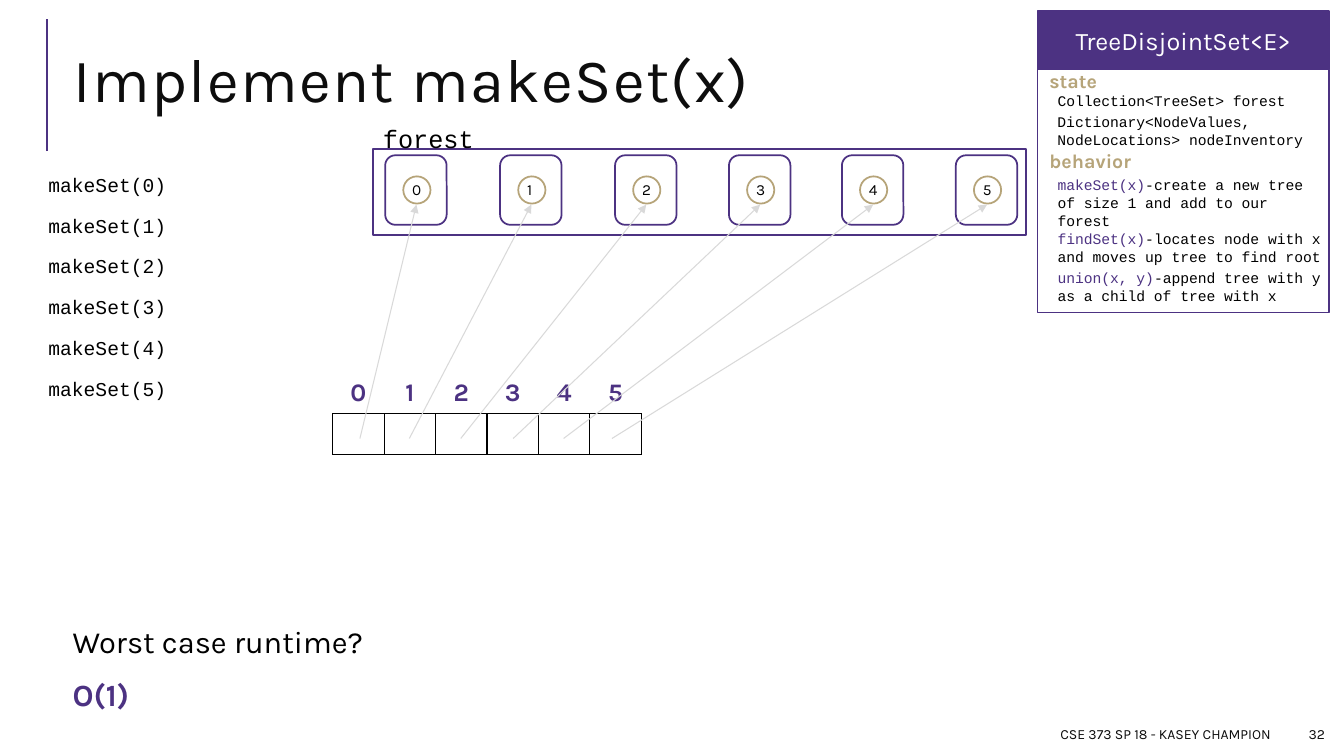
"""Build the slide on makeSet for a disjoint set made of trees."""
from dataclasses import dataclass

from lxml.etree import SubElement
from pptx import Presentation
from pptx.dml.color import RGBColor
from pptx.enum.shapes import MSO_CONNECTOR, MSO_SHAPE
from pptx.enum.text import MSO_ANCHOR, MSO_AUTO_SIZE, PP_ALIGN
from pptx.oxml.ns import qn
from pptx.util import Pt

PX = 9144
PURPLE, GOLD, GREY = "4C3282", "B6A479", "D9D9D9"
BLACK, INK, WHITE, BLUE = "000000", "0D0D0D", "FFFFFF", "1CADE4"
SANS, MONO = "Karla", "Courier New"


@dataclass(frozen=True)
class Box:
    left: int
    top: int
    width: int
    height: int

    def emu(self) -> tuple[int, ...]:
        return tuple(n * PX for n in (self.left, self.top, self.width, self.height))


@dataclass(frozen=True)
class Style:
    size: float
    font: str = SANS
    color: str = BLACK
    bold: bool = False


@dataclass(frozen=True)
class Label:
    box: Box
    wording: tuple[str, ...]
    styles: tuple[Style, ...]
    align: PP_ALIGN = PP_ALIGN.LEFT
    anchor: MSO_ANCHOR = MSO_ANCHOR.TOP
    wrap: bool = True
    grow: bool = True


@dataclass(frozen=True)
class Tree:
    value: int
    left: int
    pointer: int


HEADING = Style(14, color=GOLD, bold=True)
CODE = Style(10.5, MONO)
METHOD = Style(10.5, MONO, PURPLE)
FOOTER = Style(10, color=INK)
NODE = Style(11)
INDEX = Style(18, color=PURPLE, bold=True)

CLASS_LABELS = (
    Label(Box(1039, 170, 279, 63),
          ("makeSet(x)", "-create a new tree of size 1 and add to our forest"), (METHOD, CODE)),
    Label(Box(1031, 63, 223, 34), ("state",), (HEADING,)),
    Label(Box(1031, 143, 223, 34), ("behavior",), (HEADING,)),
    Label(Box(1039, 86, 258, 28), ("Collection<TreeSet> forest",), (CODE,)),
    Label(Box(1039, 223, 305, 47),
          ("findSet(x)", "-locates node with x and moves up tree to find root"), (METHOD, CODE)),
    Label(Box(1039, 262, 295, 47),
          ("union(x, y)", "-append tree with y as a child of tree with x"), (METHOD, CODE)),
    Label(Box(1039, 107, 266, 45),
          ("Dictionary<NodeValues, NodeLocations> nodeInventory",), (CODE,)),
)
FOOTER_LABELS = tuple(
    Label(box, (words,), (FOOTER,), PP_ALIGN.RIGHT, MSO_ANCHOR.MIDDLE, grow=False)
    for box, words in ((Box(625, 713, 645, 30), "CSE 373 SP 18 - KASEY CHAMPION"),
                       (Box(1278, 713, 46, 30), "32"))
)
FOREST_LABEL = Label(Box(370, 117, 111, 40), ("forest",), (Style(18, MONO),), wrap=False)
TREES = (Tree(0, 382, 357), Tree(1, 496, 406), Tree(2, 610, 457),
         Tree(3, 723, 509), Tree(4, 835, 559), Tree(5, 948, 607))


def rgb(color: str) -> RGBColor:
    return RGBColor.from_string(color)


def format_font(font, style: Style) -> None:
    font.name, font.size, font.bold = style.font, Pt(style.size), style.bold
    font.color.rgb = rgb(style.color)


def place(shape, box: Box) -> None:
    shape.left, shape.top, shape.width, shape.height = box.emu()


def add_label(slide, label: Label) -> None:
    frame = slide.shapes.add_textbox(*label.box.emu()).text_frame
    frame.word_wrap = label.wrap
    frame.auto_size = MSO_AUTO_SIZE.SHAPE_TO_FIT_TEXT if label.grow else MSO_AUTO_SIZE.NONE
    frame.vertical_anchor = label.anchor
    paragraph = frame.paragraphs[0]
    paragraph.alignment = label.align
    for words, style in zip(label.wording, label.styles):
        run = paragraph.add_run()
        run.text = words
        format_font(run.font, style)


def add_outline(slide, preset: MSO_SHAPE, box: Box, line: str, fill: str | None = None):
    shape = slide.shapes.add_shape(preset, *box.emu())
    shape.shadow.inherit = False
    if fill:
        shape.fill.solid()
        shape.fill.fore_color.rgb = rgb(fill)
    else:
        shape.fill.background()
    shape.line.color.rgb = rgb(line)
    shape.line.width = Pt(1.25)
    return shape


def add_line(slide, start: tuple[int, int], end: tuple[int, int],
             color: str, width: float, arrow: bool = False) -> None:
    ends = [n * PX for n in (*start, *end)]
    line = slide.shapes.add_connector(MSO_CONNECTOR.STRAIGHT, *ends)
    line.line.color.rgb = rgb(color)
    line.line.width = Pt(width)
    properties = line._element.spPr
    if arrow:
        SubElement(properties.find(qn("a:ln")), qn("a:tailEnd"), type="triangle")
    SubElement(properties, qn("a:effectLst"))


def fill_list(placeholder, box: Box, lines: list[str], styles: list[Style]) -> None:
    place(placeholder, box)
    frame = placeholder.text_frame
    frame.text = "\n".join(lines)
    frame.auto_size = MSO_AUTO_SIZE.NONE
    frame.vertical_anchor = MSO_ANCHOR.TOP
    frame.margin_left = frame.margin_right = frame.margin_top = frame.margin_bottom = 5 * PX
    for row, (paragraph, style) in enumerate(zip(frame.paragraphs, styles)):
        paragraph.line_spacing = 0.9
        paragraph.space_before = Pt(12 if row else 0)
        paragraph.space_after = Pt(2)
        properties = paragraph._p.get_or_add_pPr()
        properties.set("marL", str(10 * PX))
        properties.set("indent", str(-10 * PX))
        SubElement(SubElement(properties, qn("a:buClr")), qn("a:srgbClr"), val=BLUE)
        SubElement(properties, qn("a:buChar"), char=" ")
        format_font(paragraph.runs[0].font, style)


def set_borders(cell, colors: dict[str, str]) -> None:
    properties = cell._tc.get_or_add_tcPr()
    for side, color in colors.items():
        border = SubElement(properties, qn(f"a:ln{side}"), w=str(Pt(1)))
        SubElement(SubElement(border, qn("a:solidFill")), qn("a:srgbClr"), val=color)


def add_inventory(slide) -> None:
    inventory = slide.shapes.add_table(2, len(TREES), *Box(330, 370, 306, 81).emu()).table
    inventory.first_row = inventory.horz_banding = False
    for column, tree in enumerate(TREES):
        inventory.columns[column].width = 51 * PX
        index, slot = inventory.cell(0, column), inventory.cell(1, column)
        index.text = str(tree.value)
        index.text_frame.paragraphs[0].alignment = PP_ALIGN.CENTER
        format_font(index.text_frame.paragraphs[0].runs[0].font, INDEX)
        set_borders(index, {"L": WHITE, "R": WHITE, "T": WHITE, "B": BLACK})
        set_borders(slot, dict.fromkeys("LRTB", BLACK))
        for cell in (index, slot):
            cell.fill.background()


def add_class_card(slide) -> None:
    add_outline(slide, MSO_SHAPE.RECTANGLE, Box(1029, 69, 289, 241), PURPLE)
    banner = add_outline(slide, MSO_SHAPE.RECTANGLE, Box(1029, 11, 289, 58), PURPLE, PURPLE)
    banner.text_frame.text = "TreeDisjointSet<E>"
    banner.text_frame.vertical_anchor = MSO_ANCHOR.MIDDLE
    banner.text_frame.paragraphs[0].alignment = PP_ALIGN.CENTER
    format_font(banner.text_frame.paragraphs[0].runs[0].font, Style(18, color=WHITE))
    for label in CLASS_LABELS:
        add_label(slide, label)


def add_forest(slide) -> None:
    add_outline(slide, MSO_SHAPE.RECTANGLE, Box(370, 148, 648, 85), PURPLE)
    for tree in TREES:
        add_outline(slide, MSO_SHAPE.OVAL, Box(tree.left + 18, 175, 27, 27), GOLD, WHITE)
        add_label(slide, Label(Box(tree.left + 17, 174, 28, 29), (str(tree.value),), (NODE,)))
        add_outline(slide, MSO_SHAPE.ROUNDED_RECTANGLE, Box(tree.left, 154, 61, 69), PURPLE)
    add_label(slide, FOREST_LABEL)


def main() -> None:
    deck = Presentation()
    deck.slide_width, deck.slide_height = 1333 * PX, 750 * PX
    slide = deck.slides.add_slide(deck.slide_layouts[3])
    title, runtime, calls = slide.placeholders
    place(title, Box(63, 29, 1223, 111))
    title.text_frame.text = "Implement makeSet(x)"
    title.text_frame.vertical_anchor = MSO_ANCHOR.MIDDLE
    title.text_frame.auto_size = MSO_AUTO_SIZE.NONE
    heading = title.text_frame.paragraphs[0]
    heading.alignment, heading.line_spacing = PP_ALIGN.LEFT, 0.8
    format_font(heading.runs[0].font, Style(44, color=INK))
    heading.runs[0]._r.get_or_add_rPr().set("spc", "100")
    fill_list(runtime, Box(57, 617, 1223, 96), ["Worst case runtime?", "O(1)"],
              [Style(22), Style(22, color=PURPLE, bold=True)])
    fill_list(calls, Box(33, 169, 227, 350), [f"makeSet({tree.value})" for tree in TREES],
              [Style(14, MONO)] * len(TREES))
    add_line(slide, (47, 150), (47, 19), PURPLE, 1.5)
    for label in FOOTER_LABELS:
        add_label(slide, label)
    add_class_card(slide)
    add_forest(slide)
    add_inventory(slide)
    for tree in TREES:
        add_line(slide, (tree.pointer, 435), (tree.left + 31, 203), GREY, 0.75, arrow=True)
    deck.save("out.pptx")


if __name__ == "__main__":
    main()
